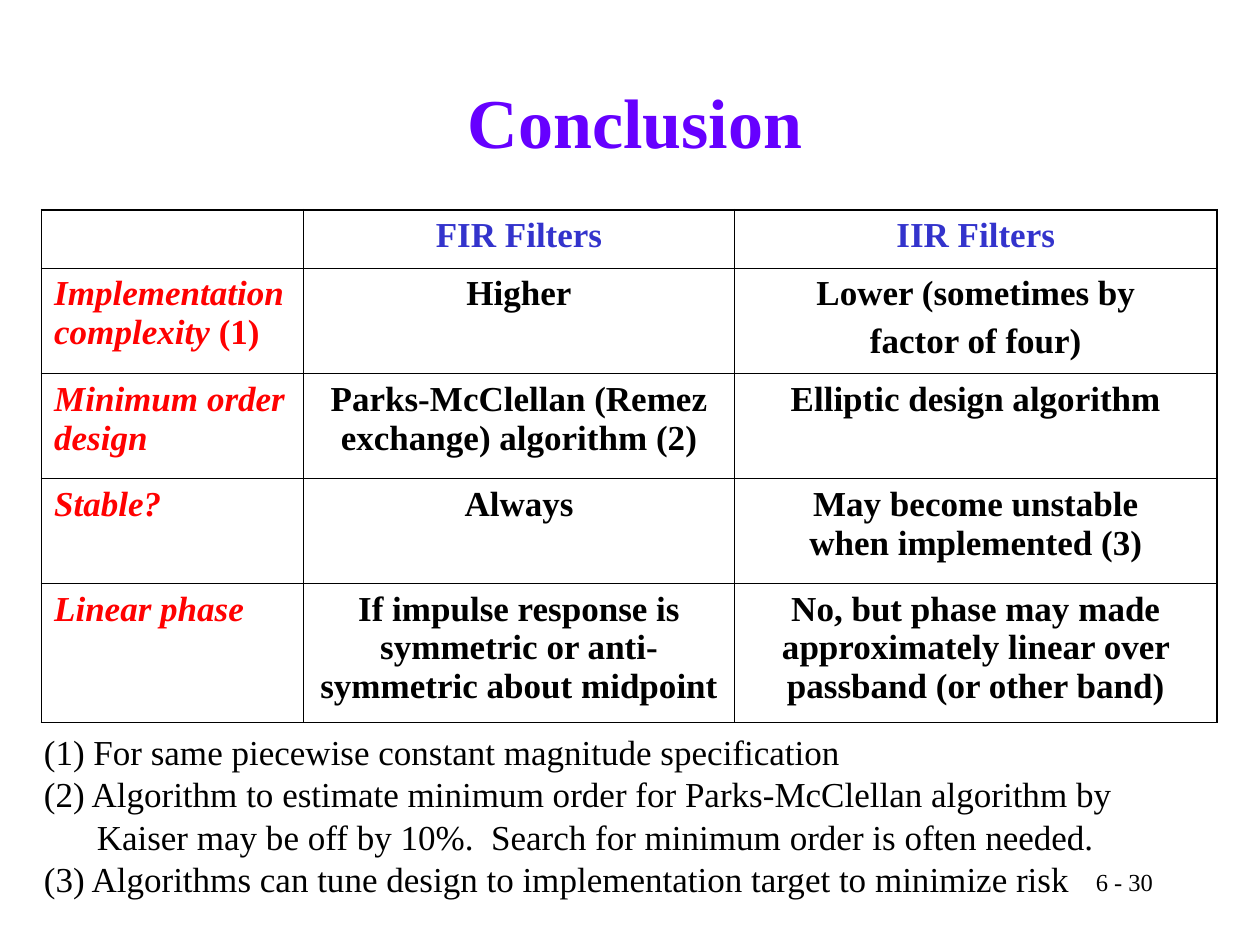
from lxml.etree import SubElement
from pptx import Presentation
from pptx.dml.color import RGBColor
from pptx.enum.text import MSO_ANCHOR, PP_ALIGN
from pptx.oxml.ns import qn
from pptx.util import Inches, Pt

WIDE, HIGH = 10, 7.5
BLACK, BLUE, RED, VIOLET = "000000", "3333CC", "FF0101", "6600FF"
THIN, THICK = 0.45, 1.08


def paint(code):
    return RGBColor.from_string(code)


class Deck:
    font = {"name": "Times New Roman", "size": Pt(20), "bold": False}

    def __init__(self):
        self.show = Presentation()
        self.show.slide_width = Inches(WIDE)
        self.show.slide_height = Inches(HIGH)
        self.slide = self.show.slides.add_slide(self.show.slide_layouts[5])

    def area(self, left, top, width, height):
        return (Inches(left * WIDE), Inches(top * HIGH),
                Inches(width * WIDE), Inches(height * HIGH))

    def label(self, para, text, color=BLACK, **style):
        for pos, part in enumerate(text.split("\n")):
            if pos:
                para.add_line_break()
            run = para.add_run()
            run.text = part
            for key, value in {**self.font, **style}.items():
                setattr(run.font, key, value)
            run.font.color.rgb = paint(color)

    def title(self, text, area):
        shape = self.slide.shapes.title
        shape.left, shape.top, shape.width, shape.height = self.area(*area)
        frame = shape.text_frame
        frame.vertical_anchor = MSO_ANCHOR.MIDDLE
        para = frame.paragraphs[0]
        para.alignment = PP_ALIGN.CENTER
        self.label(para, text, VIOLET, size=Pt(40), bold=True)

    def text(self, lines, area, align=PP_ALIGN.LEFT, hang=0, space=1.0, **style):
        frame = self.slide.shapes.add_textbox(*self.area(*area)).text_frame
        frame.word_wrap = True
        for pos, line in enumerate(lines):
            para = frame.add_paragraph() if pos else frame.paragraphs[0]
            para.alignment = align
            para.line_spacing = space
            if hang:
                props = para._p.get_or_add_pPr()
                props.set("marL", str(Inches(hang)))
                props.set("indent", str(-Inches(hang)))
            self.label(para, line, **style)

    def edge(self, cell, sides):
        props = cell._tc.get_or_add_tcPr()
        for pos, (side, width) in enumerate(sides.items()):
            line = SubElement(props, qn(f"a:ln{side}"), w=str(Pt(width)))
            fill = SubElement(line, qn("a:solidFill"))
            SubElement(fill, qn("a:srgbClr"), val=BLACK)
            props.remove(line)
            props.insert(pos, line)

    def fill(self, cell, paras, align):
        frame = cell.text_frame
        for pos, runs in enumerate(paras):
            para = frame.add_paragraph() if pos else frame.paragraphs[0]
            para.alignment = align
            if pos:
                para.space_before = Pt(5)
            for text, color, slant in runs:
                self.label(para, text, color, bold=True, italic=slant)

    def table(self, rows, area, cols, highs):
        shape = self.slide.shapes.add_table(len(rows), len(cols), *self.area(*area))
        grid = shape.table
        grid.first_row = grid.horz_banding = False
        for col, width in zip(grid.columns, cols):
            col.width = Inches(width * WIDE)
        for row, height in zip(grid.rows, highs):
            row.height = Inches(height * HIGH)
        for y, row in enumerate(rows):
            for x, paras in enumerate(row):
                cell = grid.cell(y, x)
                cell.fill.background()
                self.fill(cell, paras, PP_ALIGN.CENTER if x else PP_ALIGN.LEFT)
                self.edge(cell, {
                    "L": THIN if x else THICK,
                    "R": THICK if x == len(cols) - 1 else THIN,
                    "T": THIN if y else THICK,
                    "B": THICK if y == len(rows) - 1 else THIN,
                })


def plain(*lines, color=BLACK):
    return [[(line, color, False)] for line in lines]


def head(name, mark=""):
    return [[(name, RED, True)] + ([(mark, RED, False)] if mark else [])]


def main():
    deck = Deck()
    deck.text(["6 - 30"], (0.717, 0.911, 0.208, 0.067), PP_ALIGN.RIGHT, size=Pt(14))
    deck.title("Conclusion", (0.05, 0.044, 0.908, 0.167))
    rows = [
        [[], plain("FIR Filters", color=BLUE), plain("IIR Filters", color=BLUE)],
        [head("Implementation complexity ", "(1)"), plain("Higher"),
         plain("Lower (sometimes by", "factor of four)")],
        [head("Minimum order design"),
         plain("Parks-McClellan (Remez exchange) algorithm (2)"),
         plain("Elliptic design algorithm")],
        [head("Stable?"), plain("Always"),
         plain("May become unstable\nwhen implemented (3)")],
        [head("Linear phase"),
         plain("If impulse response is symmetric or anti-symmetric about midpoint"),
         plain("No, but phase may made approximately linear over passband (or other band)")],
    ]
    deck.table(rows, (0.033, 0.222, 0.933, 0.542), (0.208, 0.342, 0.383),
               (0.062, 0.111, 0.111, 0.111, 0.147))
    deck.text([
        "(1) For same piecewise constant magnitude specification",
        "(2) Algorithm to estimate minimum order for Parks-McClellan algorithm by\n"
        "Kaiser may be off by 10%.  Search for minimum order is often needed.",
        "(3) Algorithms can tune design to implementation target to minimize risk",
    ], (0.025, 0.767, 0.933, 0.192), hang=0.42)
    deck.show.save("out.pptx")


if __name__ == "__main__":
    main()
